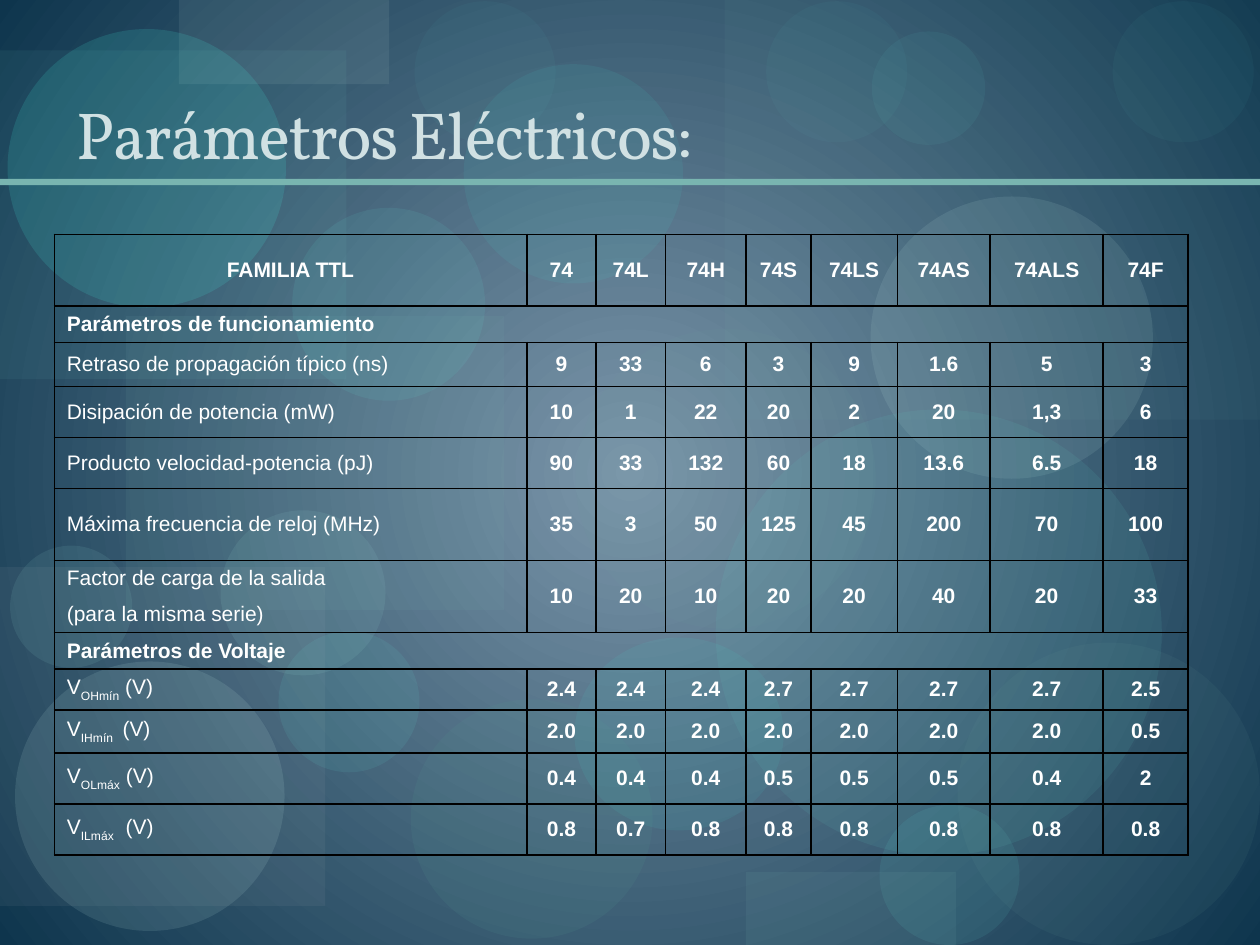
import pptx
import pptx.util
import pptx.dml.color
import pptx.enum.shapes
import pptx.enum.text
import pptx.oxml
import pptx.oxml.ns
from lxml import etree

Pt = pptx.util.Pt
RGB = pptx.dml.color.RGBColor
SHAPE = pptx.enum.shapes.MSO_SHAPE
ALIGN = pptx.enum.text.PP_ALIGN
ANCHOR = pptx.enum.text.MSO_ANCHOR
qn = pptx.oxml.ns.qn

CENTER_BLUE = RGB(0x7B, 0x96, 0xAA)
EDGE_BLUE = RGB(0x0E, 0x35, 0x4D)
TITLE_COLOR = RGB(0xD1, 0xE1, 0xE3)
WHITE = RGB(0xFF, 0xFF, 0xFF)
BLACK = RGB(0x00, 0x00, 0x00)
SAGE = RGB(0x79, 0xB5, 0xB0)
FOREST = RGB(0x54, 0x97, 0x91)
GRAY = RGB(0xB2, 0xB7, 0xBA)
MOSS = RGB(0x70, 0xA3, 0x9E)
AQUA = RGB(0x65, 0xE8, 0xDC)
MIST = RGB(0xC1, 0xE8, 0xE4)
TURQUOISE = RGB(0x44, 0xEA, 0xDC)
TEAL = RGB(0x77, 0xD6, 0xCE)
PALE = RGB(0xBE, 0xD7, 0xD4)
MINT = RGB(0x97, 0xDC, 0xD6)
LAGOON = RGB(0x61, 0xCD, 0xC4)

BOX, DISC = SHAPE.RECTANGLE, SHAPE.OVAL
# outline, left, top, width, height, color, opacity in percent; back to front
DECORATIONS = [
    (BOX, 72, 180.7, 216, 167.8, SAGE, 9),
    (DISC, 234.7, 399.6, 138.2, 136.8, FOREST, 13),
    (BOX, 414, 0, 306, 239.8, SAGE, 6),
    (BOX, 0, 324, 185.8, 193.7, GRAY, 8),
    (DISC, 329, 187.9, 171.4, 171.4, MOSS, 8),
    (DISC, 502.6, 460, 80, 80, AQUA, 9),
    (DISC, 497.5, 112.3, 161.3, 161.3, MIST, 11),
    (DISC, 8.6, 378, 154, 154, MIST, 12),
    (DISC, 159.1, 360.7, 80.6, 80.6, AQUA, 9),
    (DISC, 328.3, 364.3, 119.5, 110.2, TURQUOISE, 8),
    (BOX, 0, 28.8, 198, 187.9, TEAL, 7),
    (BOX, 102.2, 0, 120.2, 48.2, PALE, 10),
    (DISC, 4.3, 16.6, 159.1, 159.1, TURQUOISE, 15),
    (DISC, 5.8, 311.8, 69.8, 69.8, MINT, 10),
    (DISC, 167, 118.8, 110.2, 110.2, AQUA, 9),
    (DISC, 265, 36.7, 125.3, 125.3, TURQUOISE, 8),
    (DISC, 409, 234, 254.9, 254.9, LAGOON, 10),
    (DISC, 437.8, 0.7, 80.6, 80.6, AQUA, 4),
    (DISC, 547.2, 367.2, 172.8, 172.8, MOSS, 8),
    (DISC, 126, 291.6, 94.3, 94.3, MINT, 10),
    (DISC, 498.2, 18, 64.8, 64.8, AQUA, 6),
    (DISC, 635.8, 0.7, 80.6, 80.6, AQUA, 4),
    (BOX, 426.2, 498.2, 120.2, 41.8, SAGE, 10),
    (DISC, 236.9, 0.7, 80.6, 80.6, AQUA, 4),
    (BOX, 0, 102.2, 720, 3.6, SAGE, 100),
]

COLUMN_WIDTHS = [270, 39.6, 39.6, 46.2, 37, 49.4, 53.1, 64.5, 48.6]
# row height, label (or its text, subscript, text parts), values
ROWS = [
    (41.1, "FAMILIA TTL", "74 74L 74H 74S 74LS 74AS 74ALS 74F"),
    (20.6, "Parámetros de funcionamiento", ""),
    (25.1, "Retraso de propagación típico (ns)", "9 33 6 3 9 1.6 5 3"),
    (29.2, "Disipación de potencia (mW)", "10 1 22 20 2 20 1,3 6"),
    (29.2, "Producto velocidad-potencia (pJ)", "90 33 132 60 18 13.6 6.5 18"),
    (41.1, "Máxima frecuencia de reloj (MHz)", "35 3 50 125 45 200 70 100"),
    (20.6, "Factor de carga de la salida", "10 20 10 20 20 40 20 33"),
    (20.6, "(para la misma serie)", ""),
    (20.6, "Parámetros de Voltaje", ""),
    (23.4, ("V", "OHmín", " (V)"), "2.4 2.4 2.4 2.7 2.7 2.7 2.7 2.5"),
    (24.6, ("V", "IHmín ", " (V)"), "2.0 2.0 2.0 2.0 2.0 2.0 2.0 0.5"),
    (29.2, ("V", "OLmáx", " (V)"), "0.4 0.4 0.4 0.5 0.5 0.5 0.4 2"),
    (29.2, ("V", "ILmáx", "  (V)"), "0.8 0.7 0.8 0.8 0.8 0.8 0.8 0.8"),
]
HEADER_ROW, SECTION_ROWS = 0, (1, 8)
LOAD_TOP, LOAD_BOTTOM = 6, 7


def paint_background(slide):
    fill = slide.background.fill
    fill.gradient()
    for stop, color in zip(fill.gradient_stops, (CENTER_BLUE, EDGE_BLUE)):
        stop.color.rgb = color
    # Radial gradient from the middle of the slide
    gradient = next(slide.element.iter(qn("a:gradFill")))
    gradient.remove(gradient.find(qn("a:lin")))
    radial = etree.SubElement(gradient, qn("a:path"), path="circle")
    etree.SubElement(radial, qn("a:fillToRect"),
                     l="50000", t="50000", r="50000", b="50000")


def add_decorations(slide):
    for outline, left, top, width, height, color, opacity in DECORATIONS:
        decoration = slide.shapes.add_shape(
            outline, Pt(left), Pt(top), Pt(width), Pt(height))
        decoration.shadow.inherit = False
        decoration.line.fill.background()
        decoration.fill.solid()
        decoration.fill.fore_color.rgb = color
        if opacity < 100:
            tint = next(decoration.element.spPr.iter(qn("a:srgbClr")))
            etree.SubElement(tint, qn("a:alpha"), val=str(opacity * 1000))


def place_title(slide, left, top, width, height):
    title = slide.shapes.title
    slide.shapes.element.append(title.element)  # in front of the decorations
    title.left, title.top = Pt(left), Pt(top)
    title.width, title.height = Pt(width), Pt(height)
    frame = title.text_frame
    frame.auto_size = pptx.enum.text.MSO_AUTO_SIZE.NONE
    frame.vertical_anchor = ANCHOR.BOTTOM
    heading = frame.paragraphs[0]
    heading.alignment = ALIGN.LEFT
    heading.font.size = Pt(38)
    heading.font.name = "Vollkorn"
    heading.font.color.rgb = TITLE_COLOR
    run = heading.add_run()
    run.text = "Parámetros Eléctricos:"
    run.font._element.set("spc", "-100")


def draw_borders(cell, open_sides):
    properties = cell._tc.get_or_add_tcPr()
    for side in "LRTB":
        line = etree.SubElement(properties, qn("a:ln" + side), w=str(Pt(1)))
        if side in open_sides:
            etree.SubElement(line, qn("a:noFill"))
        else:
            ink = etree.SubElement(line, qn("a:solidFill"))
            etree.SubElement(ink, qn("a:srgbClr"), val=str(BLACK))


def write_cell(cell, parts, bold, alignment):
    cell.vertical_anchor = ANCHOR.MIDDLE
    paragraph = cell.text_frame.paragraphs[0]
    paragraph.alignment = alignment
    paragraph.font.size = Pt(12)
    paragraph.font.name = "Arial"
    paragraph.font.bold = bold
    paragraph.font.color.rgb = WHITE
    for index, part in enumerate(parts):
        run = paragraph.add_run()
        run.text = part
        if index == 1:
            run.font._element.set("baseline", "-30000")


def add_parameter_table(slide, left, top, width, height):
    table = slide.shapes.add_table(
        len(ROWS), len(COLUMN_WIDTHS),
        Pt(left), Pt(top), Pt(width), Pt(height)).table
    table.first_row = table.horz_banding = False
    for column, column_width in zip(table.columns, COLUMN_WIDTHS):
        column.width = Pt(column_width)

    for r, (row_height, label, values) in enumerate(ROWS):
        table.rows[r].height = Pt(row_height)
        # The two-line load label has no rule between its lines
        open_side = {LOAD_TOP: "B", LOAD_BOTTOM: "T"}.get(r, "")
        for c in range(len(COLUMN_WIDTHS)):
            draw_borders(table.cell(r, c), open_side if c == 0 else "")
            table.cell(r, c).fill.background()
        parts = (label,) if isinstance(label, str) else label
        write_cell(table.cell(r, 0), parts, r == HEADER_ROW or r in SECTION_ROWS,
                   ALIGN.CENTER if r == HEADER_ROW else ALIGN.LEFT)
        for c, value in enumerate(values.split(), 1):
            write_cell(table.cell(r, c), (value,), True, ALIGN.CENTER)

    last = len(COLUMN_WIDTHS) - 1
    for r in SECTION_ROWS:
        table.cell(r, 0).merge(table.cell(r, last))
    table.cell(SECTION_ROWS[0], 0).vertical_anchor = ANCHOR.BOTTOM
    for c in range(1, last + 1):
        table.cell(LOAD_TOP, c).merge(table.cell(LOAD_BOTTOM, c))


def main():
    presentation = pptx.Presentation()
    presentation.slide_width, presentation.slide_height = Pt(720), Pt(540)
    slide = presentation.slides.add_slide(presentation.slide_layouts[5])
    paint_background(slide)
    add_decorations(slide)
    place_title(slide, 36, 12.2, 648, 90)
    add_parameter_table(slide, 31, 133.9, sum(COLUMN_WIDTHS),
                        sum(row[0] for row in ROWS))
    presentation.save("out.pptx")


if __name__ == "__main__":
    main()
